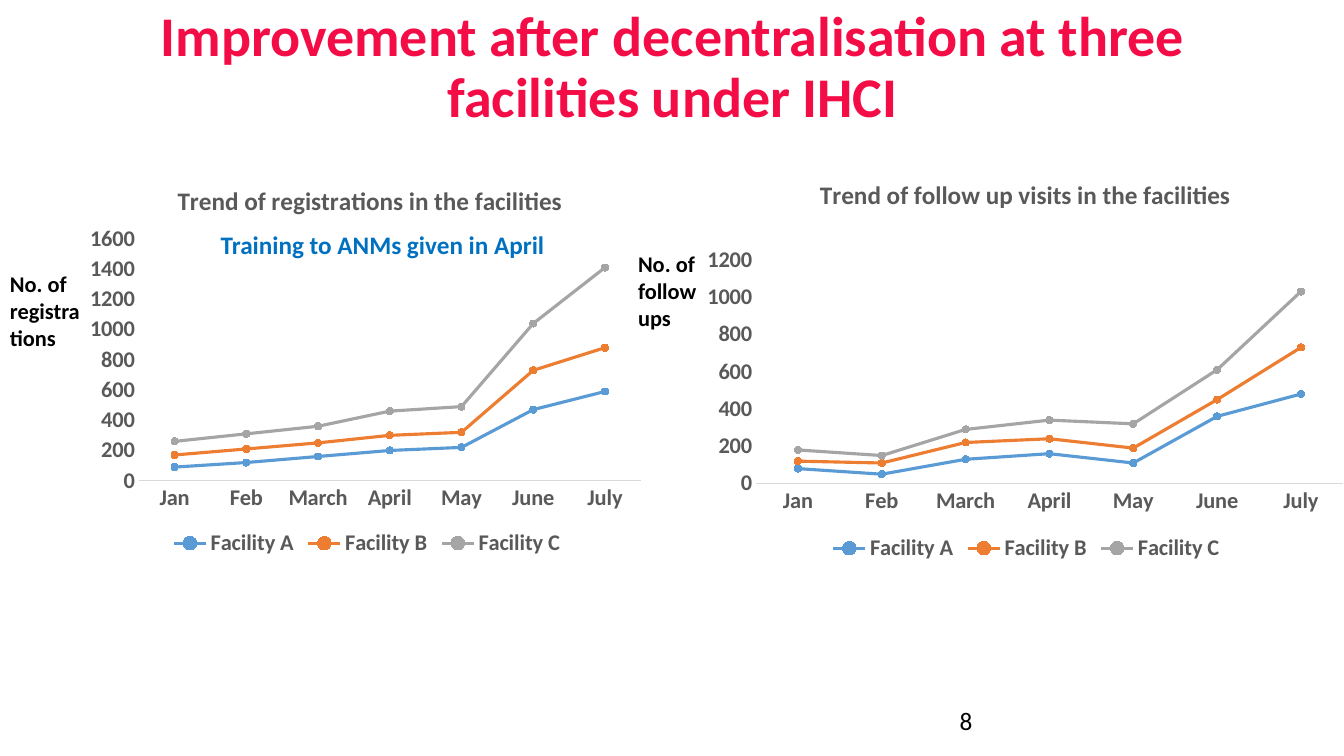
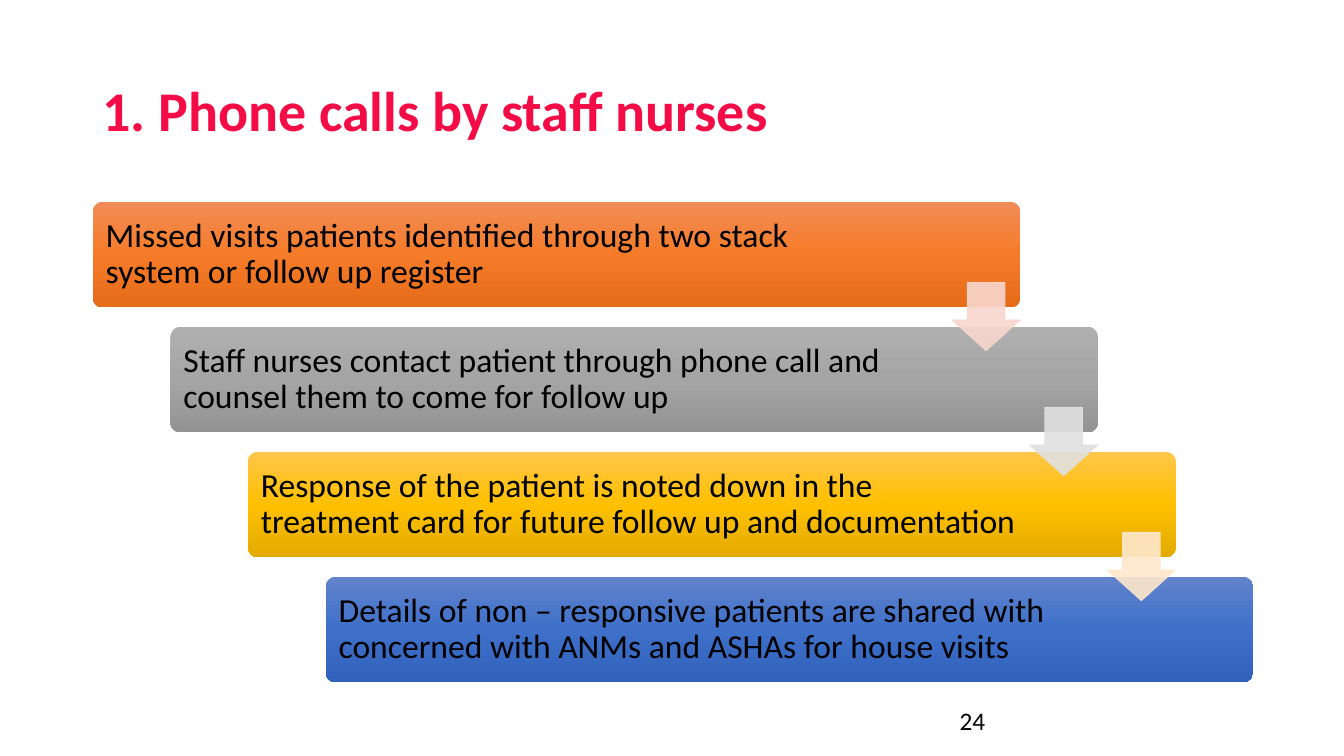
import copy
from dataclasses import dataclass

import lxml.etree
import pptx
import pptx.chart.data
import pptx.dml.color
import pptx.enum.chart
import pptx.enum.shapes
import pptx.enum.text
import pptx.oxml.ns
import pptx.util

Inches = pptx.util.Inches
Pt = pptx.util.Pt
RGBColor = pptx.dml.color.RGBColor
qn = pptx.oxml.ns.qn
Shape = pptx.enum.shapes.MSO_SHAPE
Anchor = pptx.enum.text.MSO_ANCHOR
Align = pptx.enum.text.PP_ALIGN

FONT = "Calibri"
BLACK = RGBColor(0x00, 0x00, 0x00)
TITLE_RED = RGBColor(0xF4, 0x0C, 0x46)
NOTE_BLUE = RGBColor(0x00, 0x70, 0xC0)
CHART_TEXT = RGBColor(0x59, 0x59, 0x59)
AXIS_GREY = RGBColor(0xD9, 0xD9, 0xD9)
FACILITY_COLOURS = {
    "Facility A": RGBColor(0x5B, 0x9B, 0xD5),
    "Facility B": RGBColor(0xED, 0x7D, 0x31),
    "Facility C": RGBColor(0xA5, 0xA5, 0xA5),
}
MONTHS = ["Jan", "Feb", "March", "April", "May", "June", "July"]


@dataclass
class Area:
    """A rectangle in inches, or in fractions when it lies inside a chart."""
    left: float
    top: float
    width: float
    height: float

    def lengths(self) -> list:
        return [Inches(n) for n in (self.left, self.top, self.width, self.height)]


@dataclass
class Trend:
    title: str
    area: Area
    title_left: float
    plot: Area
    maximum: int
    values: list
    axis_label: str
    label_area: Area


@dataclass
class Step:
    text: str
    gradient: list
    arrow: RGBColor | None = None


TRENDS = [
    Trend("Trend of registrations in the facilities", Area(0.81, 1.57, 5.66, 4),
          0.16, Area(0.1, 0.2, 0.88, 0.6), 1600,
          [[90, 120, 160, 200, 220, 470, 590],
           [80, 90, 90, 100, 100, 260, 290],
           [90, 100, 110, 160, 170, 310, 530]],
          "No. of registrations", Area(0, 2.63, 0.92, 0.91)),
    Trend("Trend of follow up visits in the facilities", Area(6.91, 1.51, 6.54, 4.11),
          0.18, Area(0.09, 0.26, 0.89, 0.54), 1200,
          [[80, 50, 130, 160, 110, 360, 480],
           [40, 60, 90, 80, 80, 90, 250],
           [60, 40, 70, 100, 130, 160, 300]],
          "No. of follow ups", Area(6.23, 2.43, 0.92, 0.91)),
]

STEPS = [
    Step("Missed visits patients identified through two stack system or follow up register",
         [RGBColor(0xF1, 0x8C, 0x57), RGBColor(0xF6, 0x7B, 0x28), RGBColor(0xE5, 0x6C, 0x19)],
         RGBColor(0xF8, 0xD7, 0xCE)),
    Step("Staff nurses contact patient through phone call and counsel them to come for follow up",
         [RGBColor(0xAF, 0xAF, 0xAF), RGBColor(0xA5, 0xA5, 0xA5), RGBColor(0x93, 0x93, 0x93)],
         RGBColor(0xE1, 0xE1, 0xE1)),
    Step("Response of the patient is noted down in the treatment card for future follow up "
         "and documentation",
         [RGBColor(0xFF, 0xC6, 0x4B), RGBColor(0xFF, 0xC0, 0x00), RGBColor(0xE3, 0xAB, 0x00)],
         RGBColor(0xFF, 0xE8, 0xCC)),
    Step("Details of non – responsive patients are shared with concerned with ANMs and ASHAs "
         "for house visits",
         [RGBColor(0x61, 0x83, 0xCB), RGBColor(0x3E, 0x70, 0xCA), RGBColor(0x30, 0x62, 0xBB)]),
]
FIRST_STEP = Area(0.92, 2, 9.2, 1.05)
STEP_RIGHT, STEP_DOWN = 0.77, 1.24
ARROW_SIZE = 0.68


def style_font(font, size: float, colour: RGBColor, bold: bool = False) -> None:
    font.name = FONT
    font.size = Pt(size)
    font.bold = bold
    font.color.rgb = colour


def add_text(page, text: str, area: Area, size: float, colour: RGBColor = BLACK,
             bold: bool = False):
    box = page.shapes.add_textbox(*area.lengths())
    box.text_frame.word_wrap = True
    box.text_frame.text = text
    style_font(box.text_frame.paragraphs[0].runs[0].font, size, colour, bold)
    return box


def add_page(deck, title: str, title_top: float, align: Align, number: int):
    """Add a blank page with the shared title and page number."""
    page = deck.slides.add_slide(deck.slide_layouts[6])
    heading = add_text(page, title, Area(0.92, title_top, 11.5, 1.45), 40, TITLE_RED, True)
    heading.text_frame.vertical_anchor = Anchor.MIDDLE
    para = heading.text_frame.paragraphs[0]
    para.alignment = align
    para.line_spacing = 0.9
    add_text(page, str(number), Area(9.42, 6.95, 3, 0.4), 18)
    return page


def manual_layout(settings: dict):
    layout = lxml.etree.Element(qn("c:layout"))
    manual = lxml.etree.SubElement(layout, qn("c:manualLayout"))
    for name, value in settings.items():
        lxml.etree.SubElement(manual, qn(f"c:{name}")).set("val", str(value))
    return layout


def place_chart_parts(chart, trend: Trend) -> None:
    """Fix the position of the chart title and the plot."""
    title = chart.chart_title._element
    plot_area = chart._chartSpace.find(f".//{qn('c:plotArea')}")
    for parent in (title, plot_area):
        for old in parent.findall(qn("c:layout")):
            parent.remove(old)
    edges = {"xMode": "edge", "yMode": "edge"}
    title.find(qn("c:tx")).addnext(manual_layout(edges | {"x": trend.title_left, "y": 0.05}))
    plot = trend.plot
    plot_area.insert(0, manual_layout(
        {"layoutTarget": "inner"} | edges
        | {"x": plot.left, "y": plot.top, "w": plot.width, "h": plot.height}))


def add_trend(page, trend: Trend) -> None:
    data = pptx.chart.data.CategoryChartData()
    data.categories = MONTHS
    for name, values in zip(FACILITY_COLOURS, trend.values):
        data.add_series(name, values)
    kind = pptx.enum.chart.XL_CHART_TYPE.LINE_MARKERS_STACKED
    chart = page.shapes.add_chart(kind, *trend.area.lengths(), data).chart
    style_font(chart.font, 16, CHART_TEXT, True)

    chart.has_title = True
    chart.chart_title.include_in_layout = False
    chart.chart_title.text_frame.text = trend.title
    style_font(chart.chart_title.text_frame.paragraphs[0].runs[0].font, 18, CHART_TEXT, True)
    place_chart_parts(chart, trend)

    chart.has_legend = True
    chart.legend.position = pptx.enum.chart.XL_LEGEND_POSITION.BOTTOM
    chart.legend.include_in_layout = False
    style_font(chart.legend.font, 16, CHART_TEXT, True)

    for axis in (chart.category_axis, chart.value_axis):
        axis.has_major_gridlines = False
        axis.major_tick_mark = pptx.enum.chart.XL_TICK_MARK.NONE
        axis.minor_tick_mark = pptx.enum.chart.XL_TICK_MARK.NONE
        style_font(axis.tick_labels.font, 16, CHART_TEXT, True)
    chart.category_axis.format.line.color.rgb = AXIS_GREY
    chart.category_axis.format.line.width = Pt(0.75)
    chart.value_axis.format.line.fill.background()
    chart.value_axis.minimum_scale = 0
    chart.value_axis.maximum_scale = trend.maximum
    chart.value_axis.major_unit = 200

    chart.plots[0].vary_by_categories = False
    for series, colour in zip(chart.plots[0].series, FACILITY_COLOURS.values()):
        series.smooth = False
        series.format.line.color.rgb = colour
        series.format.line.width = Pt(2.25)
        series.marker.style = pptx.enum.chart.XL_MARKER_STYLE.CIRCLE
        series.marker.size = 5
        series.marker.format.fill.solid()
        series.marker.format.fill.fore_color.rgb = colour
        series.marker.format.line.color.rgb = colour
    add_text(page, trend.axis_label, trend.label_area, 16, bold=True)


def fill_gradient(shape, colours: list) -> None:
    """Fill from top to bottom with three evenly spaced colours."""
    shape.fill.gradient()
    shape.fill.gradient_angle = 270
    stops = shape._element.spPr.find(f".//{qn('a:gsLst')}")
    stops.insert(1, copy.deepcopy(stops[0]))
    for stop, position, colour in zip(shape.fill.gradient_stops, (0, 0.5, 1), colours):
        stop.position = position
        stop.color.rgb = colour


def add_step(page, step: Step, area: Area) -> None:
    bar = page.shapes.add_shape(Shape.ROUNDED_RECTANGLE, *area.lengths())
    bar.adjustments[0] = 0.1
    bar.shadow.inherit = False
    bar.line.fill.background()
    fill_gradient(bar, step.gradient)
    frame = bar.text_frame
    frame.word_wrap = True
    frame.vertical_anchor = Anchor.MIDDLE
    frame.margin_left = frame.margin_top = frame.margin_bottom = Inches(0.1)
    frame.margin_right = Inches(1.55)
    frame.text = step.text
    para = frame.paragraphs[0]
    para.alignment = Align.LEFT
    para.line_spacing = 0.9
    style_font(para.runs[0].font, 24, BLACK)


def add_arrow(page, colour: RGBColor, area: Area) -> None:
    arrow = page.shapes.add_shape(Shape.DOWN_ARROW, *area.lengths())
    arrow.adjustments[0] = 0.55
    arrow.adjustments[1] = 0.45
    arrow.shadow.inherit = False
    arrow.fill.solid()
    arrow.fill.fore_color.rgb = colour
    arrow.line.color.rgb = colour
    arrow.line.width = Pt(0.5)
    for tint in arrow._element.spPr.findall(f".//{qn('a:srgbClr')}"):
        lxml.etree.SubElement(tint, qn("a:alpha")).set("val", "90000")


def build_trends(deck) -> None:
    page = add_page(deck, "Improvement after decentralisation at three facilities under IHCI",
                    -0.04, Align.CENTER, 8)
    for trend in TRENDS:
        add_trend(page, trend)
    add_text(page, "Training to ANMs given in April", Area(2.09, 2.23, 3.49, 0.4), 18,
             NOTE_BLUE, True)


def build_phone_calls(deck) -> None:
    page = add_page(deck, "1. Phone calls by staff nurses", 0.4, Align.LEFT, 24)
    first = FIRST_STEP
    areas = [Area(first.left + STEP_RIGHT * row, first.top + STEP_DOWN * row,
                  first.width, first.height) for row in range(len(STEPS))]
    for step, area in zip(STEPS, areas):
        add_step(page, step, area)
    for step, area in zip(STEPS, areas):
        if step.arrow is not None:
            add_arrow(page, step.arrow, Area(area.left + area.width - ARROW_SIZE,
                                             area.top + 0.8, ARROW_SIZE, ARROW_SIZE))


def main() -> None:
    deck = pptx.Presentation()
    deck.slide_width = Inches(13.33)
    deck.slide_height = Inches(7.5)
    build_trends(deck)
    build_phone_calls(deck)
    deck.save("out.pptx")


if __name__ == "__main__":
    main()
